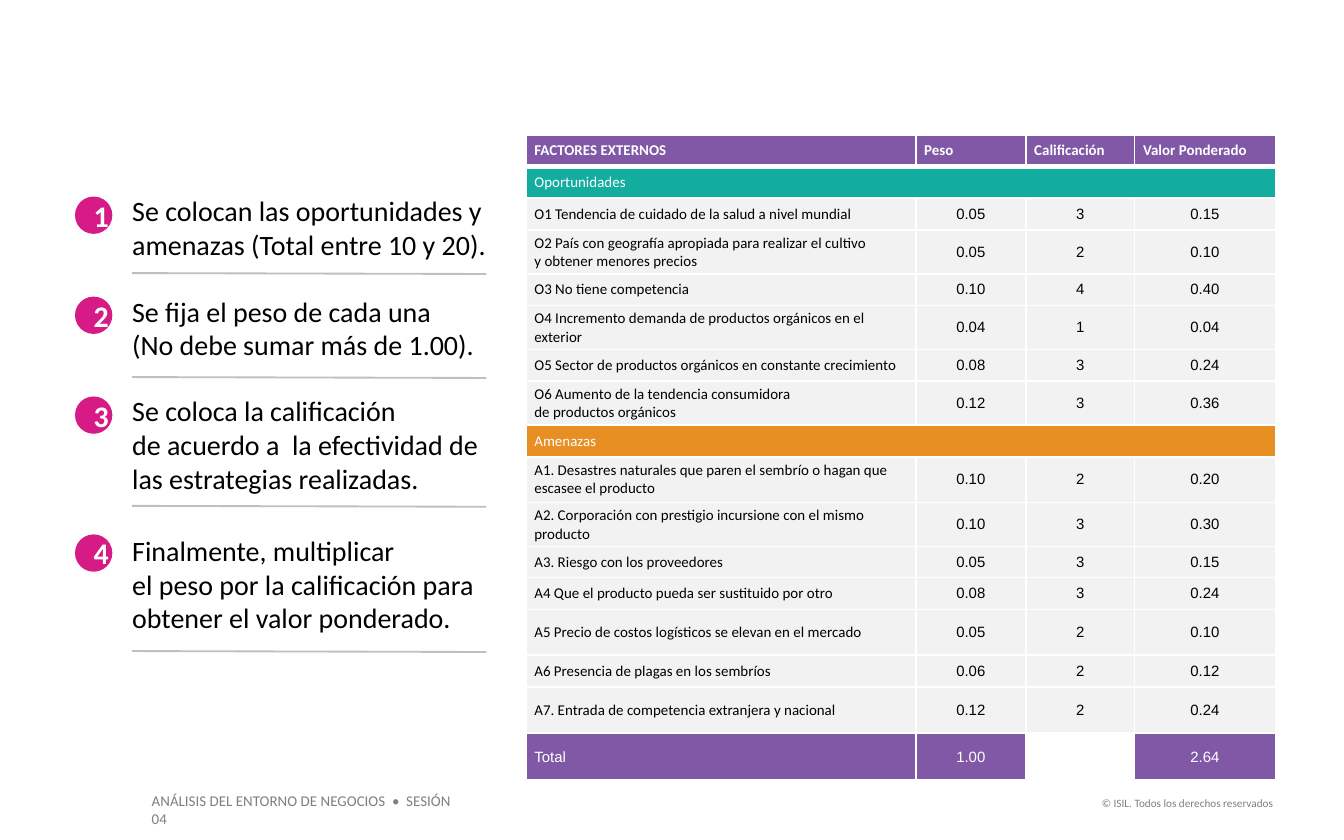
from lxml import etree
from pptx import Presentation
from pptx.dml.color import RGBColor
from pptx.enum.shapes import MSO_CONNECTOR, MSO_SHAPE
from pptx.enum.text import MSO_ANCHOR, PP_ALIGN
from pptx.oxml.ns import qn
from pptx.util import Pt

LEFT, CENTER, RIGHT = PP_ALIGN.LEFT, PP_ALIGN.CENTER, PP_ALIGN.RIGHT
MIDDLE = MSO_ANCHOR.MIDDLE
STRAIGHT, OVAL = MSO_CONNECTOR.STRAIGHT, MSO_SHAPE.OVAL

THEME = {
    "text_font": "Calibri", "number_font": "Arial",
    "black": "000000", "white": "FFFFFF", "gray": "7F7F7F", "rule": "BFBFBF",
    "purple": "8058A6", "teal": "13ADA0", "orange": "E88F23",
    "pink": "D71B86", "row": "F2F2F2",
    "step_size": 15, "badge_size": 16, "cell_size": 8,
    "footer_size": 8, "credit_size": 6,
}

# Content: \v is a line break, \n a new paragraph
# Steps: text, text top, text width, badge top, rule top
STEPS = [
    ("Se colocan las oportunidades y amenazas (Total entre 10 y 20).",
     103.7, 198, 105.3, 146.3),
    ("Se fija el peso de cada una\n(No debe sumar más de 1.00).",
     157.7, 205, 158.9, 202),
    ("Se coloca la calificación\vde acuerdo a  la efectividad de las estrategias realizadas.",
     211, 198, 212.4, 271),
    ("Finalmente, multiplicar\vel peso por la calificación para obtener el valor ponderado.",
     285.8, 198, 286.3, 348.8),
]

# Table rows: kind, height, cells
ROWS = [
    ("header", 17, ("FACTORES EXTERNOS", "Peso", "Calificación", "Valor Ponderado")),
    ("opportunities", 17, ("Oportunidades",)),
    ("factor", 17, ("O1 Tendencia de cuidado de la salud a nivel mundial", "0.05", "3", "0.15")),
    ("factor", 23, ("O2 País con geografía apropiada para realizar el cultivo\vy obtener menores precios",
                    "0.05", "2", "0.10")),
    ("factor", 17, ("O3 No tiene competencia", "0.10", "4", "0.40")),
    ("factor", 23, ("O4 Incremento demanda de productos orgánicos en el exterior", "0.04", "1", "0.04")),
    ("factor", 17, ("O5 Sector de productos orgánicos en constante crecimiento", "0.08", "3", "0.24")),
    ("factor", 23, ("O6 Aumento de la tendencia consumidora\vde productos orgánicos", "0.12", "3", "0.36")),
    ("threats", 17, ("Amenazas",)),
    ("factor", 24.4, ("A1. Desastres naturales que paren el sembrío o hagan que escasee el producto",
                      "0.10", "2", "0.20")),
    ("factor", 23.3, ("A2. Corporación con prestigio incursione con el mismo producto", "0.10", "3", "0.30")),
    ("factor", 16.8, ("A3. Riesgo con los proveedores", "0.05", "3", "0.15")),
    ("factor", 17, ("A4 Que el producto pueda ser sustituido por otro", "0.08", "3", "0.24")),
    ("factor", 24.5, ("A5 Precio de costos logísticos se elevan en el mercado", "0.05", "2", "0.10")),
    ("factor", 17.2, ("A6 Presencia de plagas en los sembríos", "0.06", "2", "0.12")),
    ("factor", 24.7, ("A7. Entrada de competencia extranjera y nacional", "0.12", "2", "0.24")),
    ("total", 25.2, ("Total", "1.00", "", "2.64")),
]
ROW_COLORS = {  # kind: fill, text
    "header": ("purple", "white"), "opportunities": ("teal", "white"),
    "factor": ("row", "black"), "threats": ("orange", "white"),
    "total": ("purple", "white"),
}
COLUMN_WIDTHS = (208.8, 59, 58.3, 75.4)
TABLE_LEFT, TABLE_TOP = 281.8, 72.2
STEP_LEFT, RULE_RIGHT, RULE_DROP = 70.8, 260.6, 0.5
BADGE_LEFT, BADGE_SIDE = 40.2, 20


def color(name):
    return RGBColor.from_string(THEME[name])


def style_text(frame, size, color_name, font="text_font", align=LEFT, bold=False):
    for paragraph in frame.paragraphs:
        paragraph.alignment = align
        paragraph.font.name = THEME[font]
        paragraph.font.size = Pt(THEME[size])
        paragraph.font.bold = bold
        paragraph.font.color.rgb = color(color_name)


def add_text(slide, text, left, top, width, height, size, color_name,
             align=LEFT, insets=(0, 0)):
    frame = slide.shapes.add_textbox(Pt(left), Pt(top), Pt(width), Pt(height)).text_frame
    frame.word_wrap = True
    frame.margin_left = frame.margin_right = Pt(insets[0])
    frame.margin_top = frame.margin_bottom = Pt(insets[1])
    frame.text = text
    style_text(frame, size, color_name, align=align)


def add_badge(slide, number, top):
    badge = slide.shapes.add_shape(OVAL, Pt(BADGE_LEFT), Pt(top), Pt(BADGE_SIDE), Pt(BADGE_SIDE))
    badge.shadow.inherit = False
    badge.fill.solid()
    badge.fill.fore_color.rgb = color("pink")
    badge.line.fill.background()
    badge.text_frame.text = str(number)
    style_text(badge.text_frame, "badge_size", "white", align=CENTER, bold=True)


def add_rule(slide, top):
    rule = slide.shapes.add_connector(
        STRAIGHT, Pt(STEP_LEFT), Pt(top), Pt(RULE_RIGHT), Pt(top + RULE_DROP))
    rule.line.color.rgb = color("rule")
    rule.line.width = Pt(1)
    etree.SubElement(rule._element.spPr, qn("a:effectLst"))


def set_borders(cell, widths):
    properties = cell._tc.get_or_add_tcPr()
    for side, width in widths.items():
        border = etree.SubElement(properties, qn(f"a:ln{side}"), w=str(Pt(width)))
        fill = etree.SubElement(border, qn("a:solidFill"))
        etree.SubElement(fill, qn("a:srgbClr"), val=THEME["white"])


def add_matrix(slide):
    heights = [height for _, height, _ in ROWS]
    table = slide.shapes.add_table(
        len(ROWS), len(COLUMN_WIDTHS), Pt(TABLE_LEFT), Pt(TABLE_TOP),
        Pt(sum(COLUMN_WIDTHS)), Pt(sum(heights))).table
    table.first_row = table.horz_banding = False
    for column, width in zip(table.columns, COLUMN_WIDTHS):
        column.width = Pt(width)

    for row_index, (kind, height, texts) in enumerate(ROWS):
        table.rows[row_index].height = Pt(height)
        fill_name, text_color = ROW_COLORS[kind]
        for column_index in range(len(COLUMN_WIDTHS)):
            cell = table.cell(row_index, column_index)
            text = texts[column_index] if column_index < len(texts) else ""
            top = 3 if row_index == 1 else 1
            bottom = 3 if kind == "header" else 1
            set_borders(cell, {"L": 1, "R": 1, "T": top, "B": bottom})
            cell.fill.solid()
            blank = kind == "total" and not text
            cell.fill.fore_color.rgb = color("white" if blank else fill_name)
            cell.vertical_anchor = MIDDLE
            cell.margin_left = cell.margin_right = Pt(4.5)
            cell.margin_top = cell.margin_bottom = Pt(2.2)
            if text:
                cell.text_frame.text = text
            is_number = column_index > 0 and kind != "header"
            use_arial = is_number or kind == "total"
            style_text(cell.text_frame, "cell_size", text_color,
                       "number_font" if use_arial else "text_font",
                       CENTER if is_number else LEFT, kind == "header")
        if len(texts) == 1:
            table.cell(row_index, 0).merge(table.cell(row_index, len(COLUMN_WIDTHS) - 1))


def main():
    presentation = Presentation()
    presentation.slide_width, presentation.slide_height = Pt(720), Pt(450)
    slide = presentation.slides.add_slide(presentation.slide_layouts[6])

    # Footer
    add_text(slide, "ANÁLISIS DEL ENTORNO DE NEGOCIOS  •  SESIÓN 04",
             74.2, 420.6, 184.3, 17, "footer_size", "gray", insets=(7.2, 3.6))
    add_text(slide, "© ISIL. Todos los derechos reservados",
             569, 423, 120, 14.4, "credit_size", "gray", RIGHT, (7.2, 3.6))

    # Numbered steps
    for number, (text, top, width, badge_top, rule_top) in enumerate(STEPS, 1):
        lines = 2 if number <= 2 else 3
        add_text(slide, text, STEP_LEFT, top, width, 18 * lines, "step_size", "black")
        add_badge(slide, number, badge_top)
        add_rule(slide, rule_top)

    # Weighted factor table
    add_matrix(slide)
    presentation.save("out.pptx")


if __name__ == "__main__":
    main()
